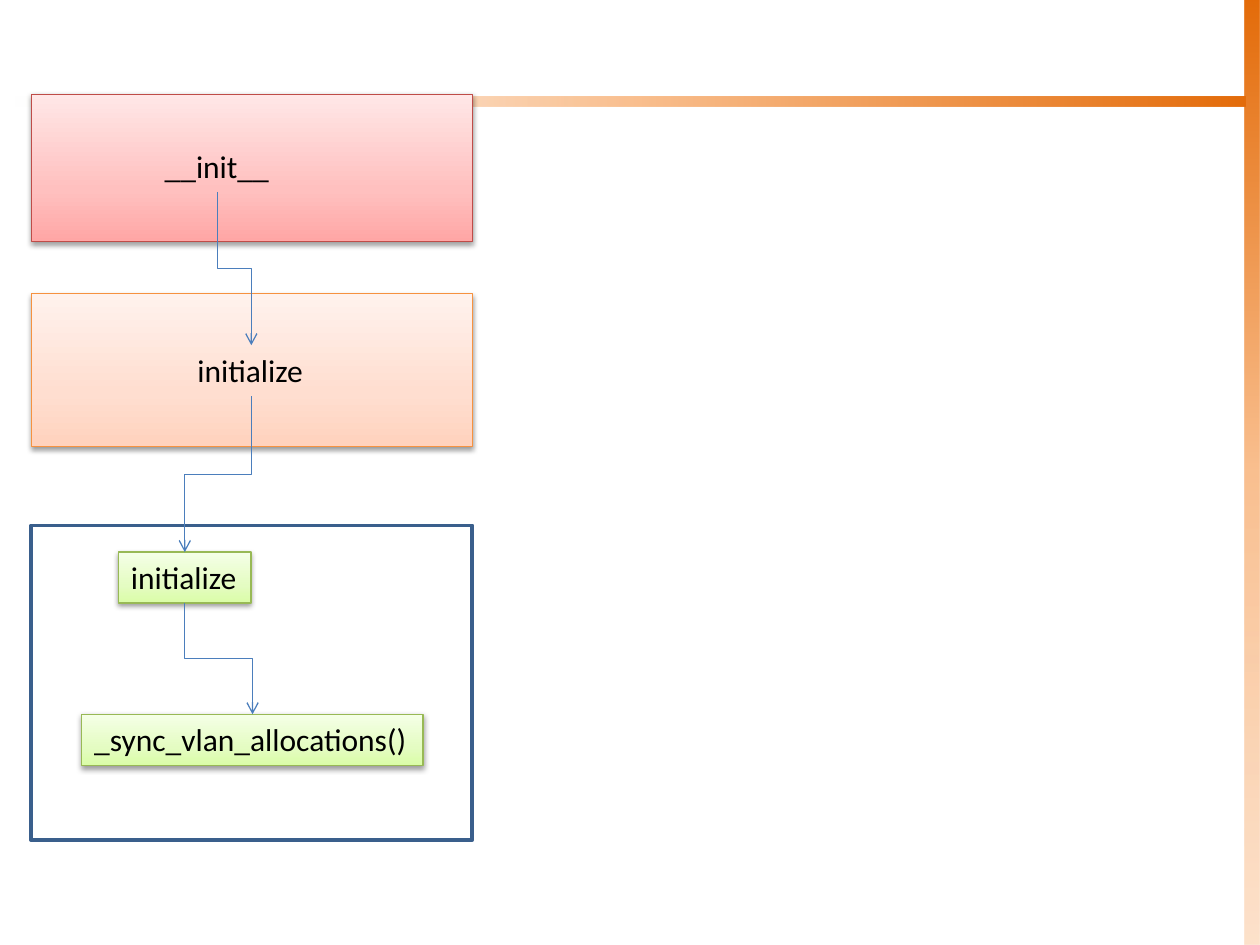
from lxml.etree import SubElement
from pptx import Presentation
from pptx.dml.color import RGBColor
from pptx.enum.shapes import MSO_CONNECTOR as Connector, MSO_SHAPE as Shape
from pptx.enum.text import MSO_ANCHOR as Anchor, MSO_AUTO_SIZE as AutoSize, PP_ALIGN as Align
from pptx.oxml.ns import qn
from pptx.util import Cm, Pt

BAR_STOPS = [(0, "E46C0A"), (50, "FAC090"), (100, "FCD5B5")]
PALETTES = {
    "red": ([(0, "FFA6A5"), (35, "FFC0BF"), (100, "FFE7E7")], "BF4C48"),
    "orange": ([(0, "FFD2BD"), (35, "FFDED0"), (100, "FFF2ED")], "F69240"),
    "green": ([(0, "DAFDA7"), (35, "E4FCC2"), (100, "F5FFE7")], "98B955"),
}
PANEL_LEFT, PANEL_WIDTH = 0.63, 8.89
LABEL_HEIGHT = 1.03
FONT = {"name": "Calibri", "size": Pt(18)}
LABEL_FRAME = {
    "word_wrap": False,
    "auto_size": AutoSize.SHAPE_TO_FIT_TEXT,
    "vertical_anchor": Anchor.TOP,
}


def color(hex_value):
    return RGBColor.from_string(hex_value)


def apply_format(target, values):
    for name, value in values.items():
        setattr(target, name, value)


def set_line(line, hex_value, width=0.75):
    line.color.rgb = color(hex_value)
    line.width = Pt(width)


def set_gradient(shape, stops, angle, end_alpha=100):
    """Fill with (position, colour) stops; end_alpha is the opacity of the last."""
    shape.fill.gradient()
    gradient = shape._element.spPr.find(qn("a:gradFill"))
    stop_list = gradient.find(qn("a:gsLst"))
    for stop in list(stop_list):
        stop_list.remove(stop)
    for position, hex_value in stops:
        stop = SubElement(stop_list, qn("a:gs"), pos=str(position * 1000))
        last_color = SubElement(stop, qn("a:srgbClr"), val=hex_value)
    if end_alpha < 100:
        SubElement(last_color, qn("a:alpha"), val=str(end_alpha * 1000))
    gradient.find(qn("a:lin")).set("ang", str(angle * 60000))


def add_shadow(shape):
    shape.shadow.inherit = False
    effects = shape._element.spPr.find(qn("a:effectLst"))
    shadow = SubElement(effects, qn("a:outerShdw"), blurRad=str(Pt(3.1)),
                        dist=str(Pt(1.6)), dir="5400000", rotWithShape="0")
    shadow_color = SubElement(shadow, qn("a:srgbClr"), val="000000")
    SubElement(shadow_color, qn("a:alpha"), val="38000")


def apply_palette(shape, palette):
    stops, line_color = PALETTES[palette]
    set_gradient(shape, stops, 270)
    set_line(shape.line, line_color)
    add_shadow(shape)


def add_rectangle(slide, left, top, width, height):
    shape = slide.shapes.add_shape(Shape.RECTANGLE, Cm(left), Cm(top), Cm(width), Cm(height))
    shape.shadow.inherit = False
    return shape


def add_bar(slide, left, top, width, height, angle, end_alpha):
    bar = add_rectangle(slide, left, top, width, height)
    set_gradient(bar, BAR_STOPS, angle, end_alpha)
    bar.line.fill.background()
    return bar


def add_panel(slide, top, height, palette=None):
    panel = add_rectangle(slide, PANEL_LEFT, top, PANEL_WIDTH, height)
    if palette:
        apply_palette(panel, palette)
    else:
        panel.fill.background()
        set_line(panel.line, "3A5F8C", 2)


def add_label(slide, text, left, top, width, palette=None):
    label = slide.shapes.add_textbox(Cm(left), Cm(top), Cm(width), Cm(LABEL_HEIGHT))
    apply_format(label.text_frame, LABEL_FRAME)
    paragraph = label.text_frame.paragraphs[0]
    paragraph.alignment = Align.LEFT
    run = paragraph.add_run()
    run.text = text
    apply_format(run.font, FONT)
    run.font.color.rgb = color("000000")
    if palette:
        apply_palette(label, palette)
    return label


def connect(slide, upper, lower):
    """Draw an elbow arrow from the bottom of one label to the top of the next."""
    start_x, end_x = (label.left + label.width // 2 for label in (upper, lower))
    start_y, end_y = upper.top + upper.height, lower.top
    middle_x, middle_y = (start_x + end_x) // 2, (start_y + end_y) // 2
    half_length, half_shift = (end_y - start_y) // 2, abs(end_x - start_x) // 2
    # The elbow preset runs sideways, so it is laid out flat and then turned.
    goes_right = end_x > start_x
    reach = half_length if goes_right else -half_length
    connector = slide.shapes.add_connector(
        Connector.ELBOW, middle_x + reach, middle_y - half_shift,
        middle_x - reach, middle_y + half_shift)
    properties = connector._element.spPr
    properties.find(qn("a:xfrm")).set("rot", str((270 if goes_right else 90) * 60000))
    set_line(connector.line, "4B7EBC")
    SubElement(properties.find(qn("a:ln")), qn("a:tailEnd"), type="arrow")
    SubElement(properties, qn("a:effectLst"))


def main():
    presentation = Presentation()
    presentation.slide_width, presentation.slide_height = Cm(25.4), Cm(19.05)
    slide = presentation.slides.add_slide(presentation.slide_layouts[6])

    add_bar(slide, 25.1, 0, 0.3, 19.05, angle=90, end_alpha=69)
    header_bar = add_bar(slide, 0.3, 1.95, 24.8, 0.19, angle=0, end_alpha=0)
    header_bar.rotation = 180

    add_panel(slide, 5.92, 3.08, "orange")
    add_panel(slide, 1.9, 2.97, "red")
    constructor = add_label(slide, "__init__", 3.07, 2.84, 2.64)
    manager = add_label(slide, "initialize", 3.73, 6.96, 2.67)
    driver = add_label(slide, "initialize", 2.39, 11.13, 2.67, "green")
    add_panel(slide, 10.59, 6.35)
    sync = add_label(slide, "_sync_vlan_allocations()", 1.65, 14.4, 6.88, "green")

    for upper, lower in ((driver, sync), (manager, driver), (constructor, manager)):
        connect(slide, upper, lower)

    presentation.save("out.pptx")


if __name__ == "__main__":
    main()
